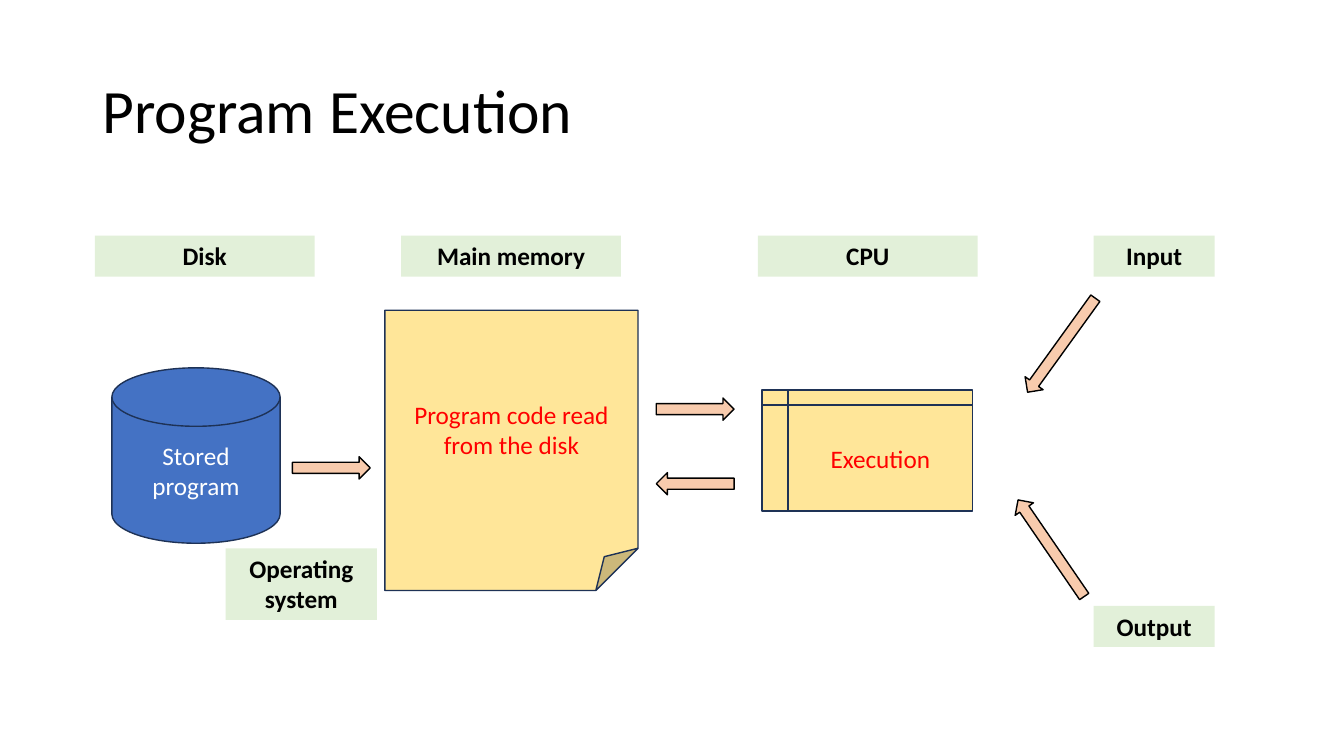
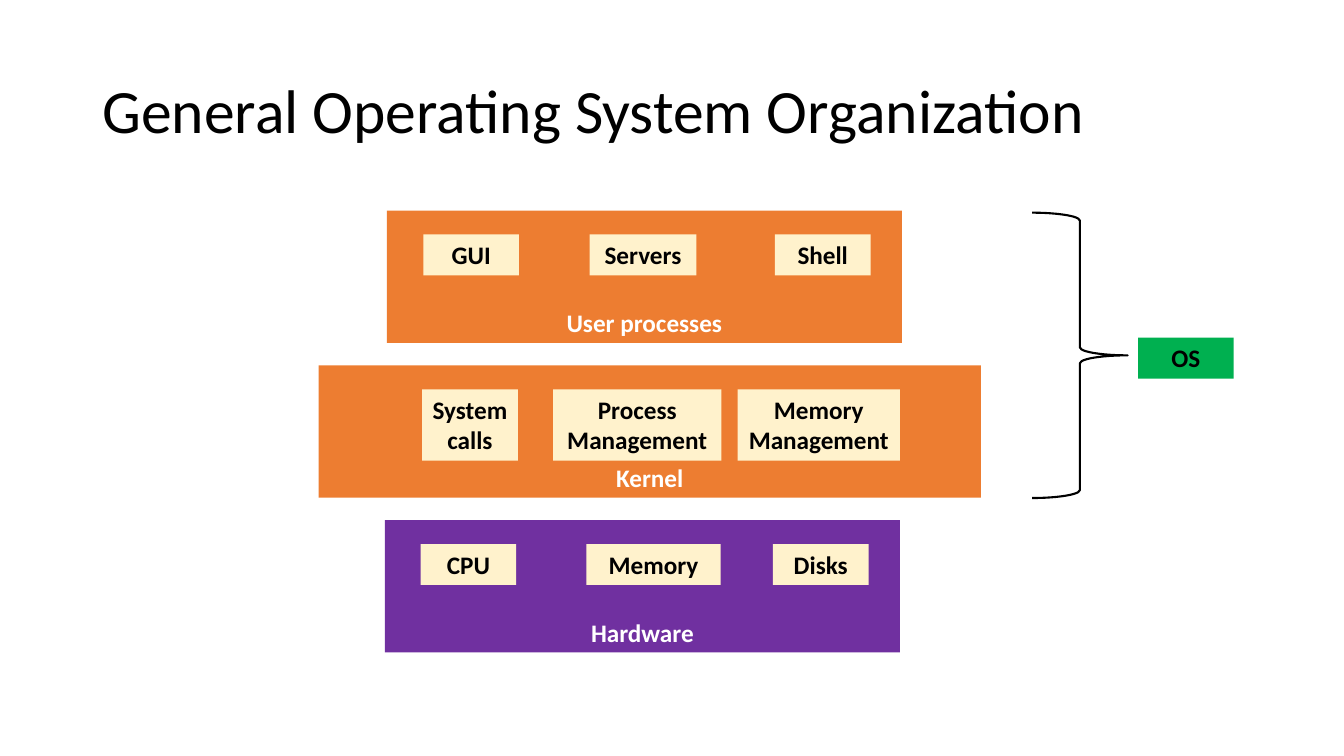
from pptx import Presentation
from pptx.dml.color import RGBColor
from pptx.enum import shapes as kinds, text as styles
from pptx.util import Cm, Pt

FONT = "Calibri"
BLACK = RGBColor(0x00, 0x00, 0x00)
WHITE = RGBColor(0xFF, 0xFF, 0xFF)
RED = RGBColor(0xFF, 0x00, 0x00)
NAVY = RGBColor(0x1E, 0x32, 0x56)
BLUE = RGBColor(0x44, 0x72, 0xC4)
MINT = RGBColor(0xE2, 0xF0, 0xD9)
YELLOW = RGBColor(0xFF, 0xE6, 0x99)
PEACH = RGBColor(0xF8, 0xCB, 0xAD)
CREAM = RGBColor(0xFF, 0xF2, 0xCC)
ORANGE = RGBColor(0xED, 0x7D, 0x31)
PURPLE = RGBColor(0x70, 0x30, 0xA0)
GREEN = RGBColor(0x00, 0xB0, 0x50)

SHAPE = kinds.MSO_SHAPE
ANCHOR = styles.MSO_ANCHOR
ALIGN = styles.PP_ALIGN

ONE_LINE = 1.03
TWO_LINES = 1.8
HEADING_TOP = 5.94
ARROW_LENGTH = 1.96
ARROW_WIDTH = 0.56
LAYER_TOP = 5.31
LAYER_STEP = 3.9
LAYER_HEIGHT = 3.33
PART_OFFSET = 0.6


def write(frame, text, size, color, align, anchor, bold=False):
    frame.word_wrap = True
    frame.auto_size = styles.MSO_AUTO_SIZE.NONE
    frame.vertical_anchor = anchor
    para = frame.paragraphs[0]
    para.alignment = align
    span = para.add_run()
    span.text = text
    span.font.name = FONT
    span.font.size = Pt(size)
    span.font.bold = bold
    span.font.color.rgb = color
    return para


def add_titled_page(deck, title):
    page = deck.slides.add_slide(deck.slide_layouts[5])
    box = page.shapes.title
    box.left, box.top, box.width, box.height = Cm(2.33), Cm(1.02), Cm(29.21), Cm(3.68)
    para = write(box.text_frame, title, 44, BLACK, ALIGN.LEFT, ANCHOR.MIDDLE)
    para.line_spacing = 0.9
    return page


def add_figure(parent, kind, place, fill=None, line=None, weight=1):
    figure = parent.shapes.add_shape(kind, *(Cm(length) for length in place))
    figure.shadow.inherit = False
    if fill is None:
        figure.fill.background()
    else:
        figure.fill.solid()
        figure.fill.fore_color.rgb = fill
    if line is None:
        figure.line.fill.background()
    else:
        figure.line.color.rgb = line
        figure.line.width = Pt(weight)
    return figure


def add_label(parent, text, left, top, width, fill, height=ONE_LINE):
    box = add_figure(parent, SHAPE.RECTANGLE, (left, top, width, height), fill)
    write(box.text_frame, text, 18, BLACK, ALIGN.CENTER, ANCHOR.TOP, bold=True)


def add_store(page, kind, text, place, fill, color):
    store = add_figure(page, kind, place, fill, NAVY)
    write(store.text_frame, text, 18, color, ALIGN.CENTER, ANCHOR.MIDDLE)


def add_arrow(page, kind, place, rotation=0):
    arrow = add_figure(page, kind, place, PEACH, BLACK)
    arrow.rotation = rotation


def add_layer(page, row, name, left, width, fill, part_height, parts):
    group = page.shapes.add_group_shape()
    top = LAYER_TOP + row * LAYER_STEP
    band = add_figure(group, SHAPE.RECTANGLE, (left, top, width, LAYER_HEIGHT), fill)
    write(band.text_frame, name, 18, WHITE, ALIGN.CENTER, ANCHOR.BOTTOM, bold=True)
    for text, part_left, part_width in parts:
        add_label(group, text, part_left, top + PART_OFFSET, part_width, CREAM, part_height)


def build_execution(deck):
    page = add_titled_page(deck, "Program Execution")
    for text, left, width in (
        ("Disk", 2.39, 5.54),
        ("Main memory", 10.11, 5.54),
        ("CPU", 19.1, 5.54),
        ("Input", 27.56, 3.05),
    ):
        add_label(page, text, left, HEADING_TOP, width, MINT)
    add_label(page, "Output", 27.56, 15.27, 3.05, MINT)

    add_store(page, SHAPE.FLOWCHART_MAGNETIC_DISK, "Stored program",
              (2.82, 9.27, 4.24, 4.42), BLUE, WHITE)
    add_store(page, SHAPE.FOLDED_CORNER, "Program code read from the disk",
              (9.7, 7.82, 6.38, 7.06), YELLOW, RED)
    add_store(page, SHAPE.FLOWCHART_INTERNAL_STORAGE, "Execution",
              (19.2, 9.83, 5.31, 3.05), YELLOW, RED)
    add_label(page, "Operating system", 5.69, 13.82, 3.81, MINT, TWO_LINES)

    for kind, left, top in (
        (SHAPE.RIGHT_ARROW, 7.37, 11.51),
        (SHAPE.RIGHT_ARROW, 16.54, 10.03),
        (SHAPE.LEFT_ARROW, 16.54, 11.91),
    ):
        add_arrow(page, kind, (left, top, ARROW_LENGTH, ARROW_WIDTH))
    add_arrow(page, SHAPE.DOWN_ARROW, (26.47, 7.24, ARROW_WIDTH, 2.92), 35.8)
    add_arrow(page, SHAPE.UP_ARROW, (26.21, 12.34, ARROW_WIDTH, 2.95), 325.6)


def build_organization(deck):
    page = add_titled_page(deck, "General Operating System Organization")
    layers = (
        ("User processes", 9.75, 12.98, ORANGE, ONE_LINE,
         (("GUI", 10.67, 2.41), ("Servers", 14.86, 2.69), ("Shell", 19.53, 2.41))),
        ("Kernel", 8.03, 16.69, ORANGE, TWO_LINES,
         (("System calls", 10.64, 2.41), ("Process Management", 13.94, 4.24),
          ("Memory Management", 18.59, 4.09))),
        ("Hardware", 9.7, 12.98, PURPLE, ONE_LINE,
         (("CPU", 10.6, 2.41), ("Memory", 14.78, 3.38), ("Disks", 19.48, 2.41))),
    )
    for row, layer in enumerate(layers):
        add_layer(page, row, *layer)
    add_figure(page, SHAPE.RIGHT_BRACE, (26.01, 5.36, 2.41, 7.19), line=BLACK, weight=1.5)
    add_label(page, "OS", 28.68, 8.51, 2.41, GREEN)


def main():
    deck = Presentation()
    deck.slide_width = Cm(33.87)
    deck.slide_height = Cm(19.05)
    build_execution(deck)
    build_organization(deck)
    deck.save("out.pptx")


if __name__ == "__main__":
    main()
